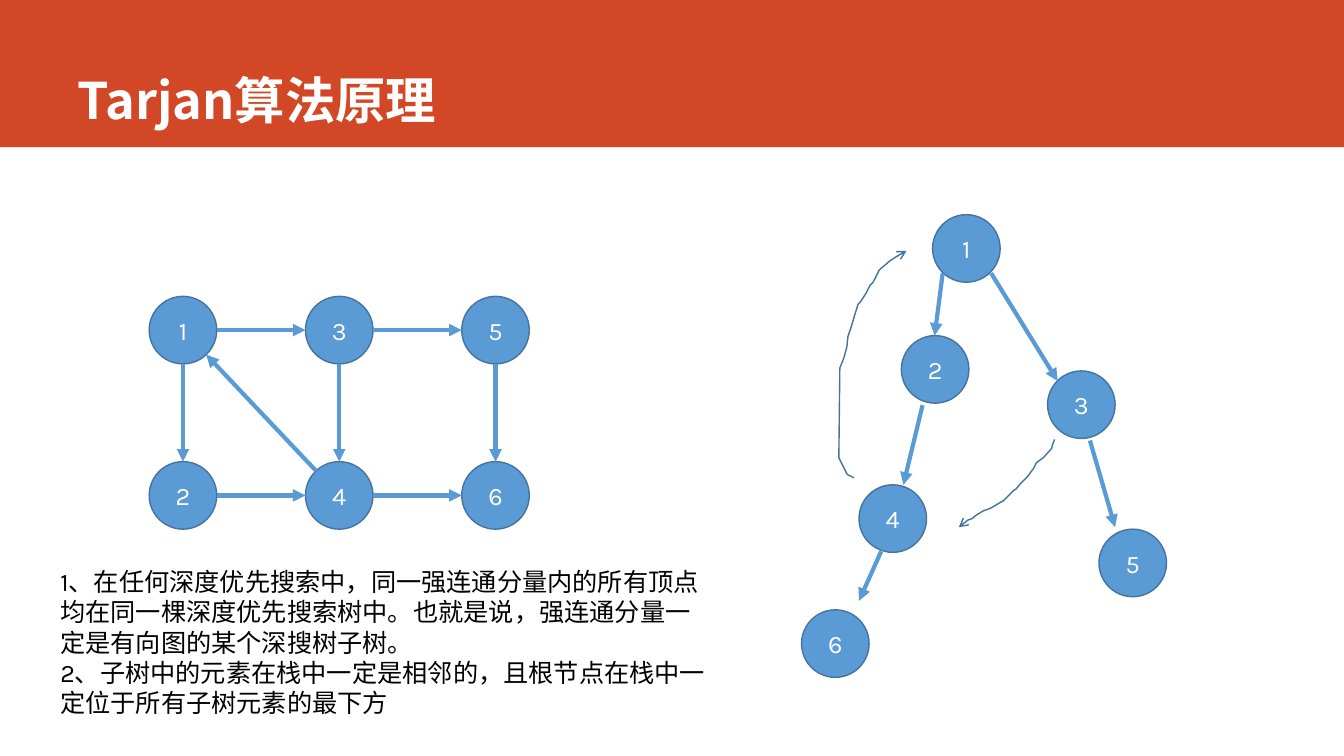
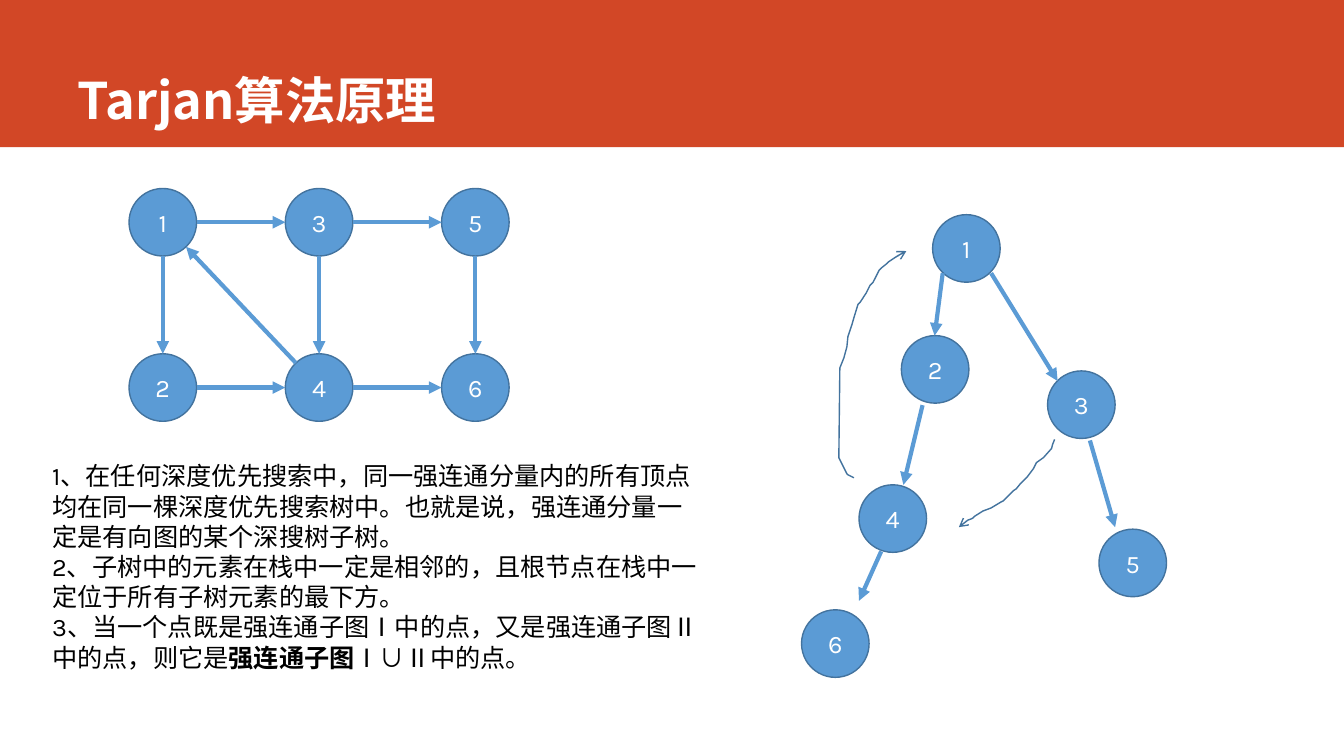
from dataclasses import dataclass
from math import hypot

from pptx import Presentation
from pptx import util as u
from pptx.dml.color import RGBColor
from pptx.enum import shapes, text
from pptx.oxml.ns import qn
from lxml import etree

ORANGE, BLUE, OUTLINE = "D24726", "5B9BD5", "43739E"
WHITE, BLACK = "FFFFFF", "000000"
TITLE_FONT, BODY_FONT = "Noto Sans CJK SC", "Karla"
TITLE = "Tarjan算法原理"
DIAMETER = 0.67
RADIUS = DIAMETER / 2
COLUMN_PITCH, ROW_PITCH = 1.55, 1.64

Point = tuple[float, float]


@dataclass(frozen=True)
class Node:
    label: str
    left: float
    top: float

    @property
    def center(self) -> Point:
        return self.left + RADIUS, self.top + RADIUS


@dataclass(frozen=True)
class Edge:
    start: Point
    end: Point


@dataclass(frozen=True)
class Page:
    graph_origin: Point
    theorem_origin: Point
    theorem_height: float
    theorems: list[str]


# Directed graph: node pairs; labels run down each column
GRAPH_LINKS = ["12", "34", "56", "13", "35", "24", "46", "41"]

# Depth-first search tree
TREE_NODES = [
    Node("1", 9.25, 2.13), Node("3", 10.39, 3.68), Node("5", 10.9, 5.25),
    Node("2", 8.94, 3.33), Node("4", 8.52, 4.81), Node("6", 7.95, 6.05),
]
TREE_EDGES = [
    Edge((9.35, 2.71), (9.27, 3.33)), Edge((8.74, 5.47), (8.52, 5.96)),
    Edge((10.81, 4.37), (11.06, 5.23)), Edge((9.83, 2.71), (10.49, 3.78)),
    Edge((9.15, 4.02), (8.96, 4.81)),
]

# Hand-drawn arrows for the edges outside the tree
BACK_EDGE = [
    (8.47, 4.74), (8.41, 4.71), (8.4, 4.7), (8.35, 4.6), (8.32, 4.54),
    (8.33, 3.65), (8.37, 3.55), (8.4, 3.44), (8.41, 3.34), (8.42, 3.31),
    (8.45, 3.22), (8.47, 3.15), (8.51, 3.02), (8.53, 3), (8.59, 2.91),
    (8.61, 2.87), (8.63, 2.83), (8.66, 2.8), (8.7, 2.72), (8.72, 2.68),
    (8.74, 2.66), (8.79, 2.62), (8.81, 2.6), (8.9, 2.54), (8.97, 2.5),
    (8.99, 2.49),
]
CROSS_EDGE = [
    (10.46, 4.36), (10.44, 4.41), (10.43, 4.45), (10.35, 4.54),
    (10.28, 4.59), (10.25, 4.65), (10.19, 4.73), (10.12, 4.8),
    (10.08, 4.85), (10.05, 4.87), (9.95, 4.97), (9.93, 4.98),
    (9.83, 5.04), (9.75, 5.07), (9.67, 5.12), (9.65, 5.14),
    (9.63, 5.15), (9.6, 5.16), (9.55, 5.2), (9.51, 5.23),
]

# Theorems; ** marks bold text
SAME_TREE = ("1、在任何深度优先搜索中，同一强连通分量内的所有顶点均在同一棵深度优先搜索树中。"
             "也就是说，强连通分量一定是有向图的某个深搜树子树。")
ON_STACK = "2、子树中的元素在栈中一定是相邻的，且根节点在栈中一定位于所有子树元素的最下方"
UNION = "3、当一个点既是强连通子图Ⅰ中的点，又是强连通子图Ⅱ中的点，则它是**强连通子图**Ⅰ∪Ⅱ中的点。"

PAGES = [
    Page((1.48, 2.94), (0.5, 5.57), 1.62, [SAME_TREE, ON_STACK]),
    Page((1.28, 1.87), (0.42, 4.52), 2.22, [SAME_TREE, ON_STACK + "。", UNION]),
]


def rgb(color: str) -> RGBColor:
    return RGBColor.from_string(color)


def box(left: float, top: float, width: float, height: float) -> list[u.Length]:
    return [u.Inches(side) for side in (left, top, width, height)]


def write(frame, paragraphs: list[str], *, size: float = 18, color: str = BLACK,
          font: str = BODY_FONT, bold: bool = False,
          align=text.PP_ALIGN.LEFT, anchor=text.MSO_ANCHOR.TOP) -> None:
    frame.word_wrap = True
    frame.vertical_anchor = anchor
    for index, content in enumerate(paragraphs):
        paragraph = frame.add_paragraph() if index else frame.paragraphs[0]
        paragraph.alignment = align
        for part, words in enumerate(content.split("**")):
            run = paragraph.add_run()
            run.text = words
            run.font.size = u.Pt(size)
            run.font.bold = bold or part % 2 == 1
            run.font.color.rgb = rgb(color)
            run.font.name = font
            etree.SubElement(run.font._element, qn("a:ea")).set("typeface", font)


def style_line(shape, color: str, width: float, arrow: str = "") -> None:
    shape.line.color.rgb = rgb(color)
    shape.line.width = u.Pt(width)
    if arrow:
        outline = shape.line._get_or_add_ln()
        etree.SubElement(outline, qn("a:tailEnd")).set("type", arrow)


def draw_node(slide, node: Node) -> None:
    circle = slide.shapes.add_shape(
        shapes.MSO_SHAPE.OVAL, *box(node.left, node.top, DIAMETER, DIAMETER))
    circle.shadow.inherit = False
    circle.fill.solid()
    circle.fill.fore_color.rgb = rgb(BLUE)
    style_line(circle, OUTLINE, 1)
    write(circle.text_frame, [node.label], color=WHITE,
          align=text.PP_ALIGN.CENTER, anchor=text.MSO_ANCHOR.MIDDLE)


def draw_edge(slide, edge: Edge) -> None:
    arrow = slide.shapes.add_connector(
        shapes.MSO_CONNECTOR.STRAIGHT, *box(*edge.start, *edge.end))
    style_line(arrow, BLUE, 3, "triangle")
    etree.SubElement(arrow._element.spPr, qn("a:effectLst"))


def draw_curve(slide, points: list[Point]) -> None:
    start, *rest = [(u.Inches(x), u.Inches(y)) for x, y in points]
    builder = slide.shapes.build_freeform(*start)
    builder.add_line_segments(rest, close=False)
    curve = builder.convert_to_shape()
    curve.shadow.inherit = False
    curve.fill.background()
    style_line(curve, OUTLINE, 1, "arrow")


def link(source: Node, target: Node) -> Edge:
    """Join the facing borders of two circles."""
    (x1, y1), (x2, y2) = source.center, target.center
    distance = hypot(x2 - x1, y2 - y1)
    dx, dy = (x2 - x1) * RADIUS / distance, (y2 - y1) * RADIUS / distance
    return Edge((x1 + dx, y1 + dy), (x2 - dx, y2 - dy))


def draw_graph(slide, origin: Point) -> None:
    left, top = origin
    nodes = {}
    for index in range(6):
        column, row = divmod(index, 2)
        label = str(index + 1)
        nodes[label] = Node(label, left + column * COLUMN_PITCH, top + row * ROW_PITCH)
        draw_node(slide, nodes[label])
    for source, target in GRAPH_LINKS:
        draw_edge(slide, link(nodes[source], nodes[target]))


def draw_tree(slide) -> None:
    for node in TREE_NODES:
        draw_node(slide, node)
    for edge in TREE_EDGES:
        draw_edge(slide, edge)
    for points in (BACK_EDGE, CROSS_EDGE):
        draw_curve(slide, points)


def add_band(slide, layout) -> None:
    """Draw the title band and move it behind everything on the layout."""
    band = slide.shapes.add_shape(shapes.MSO_SHAPE.RECTANGLE, *box(0, 0, 13.33, 1.46))
    band.shadow.inherit = False
    band.fill.solid()
    band.fill.fore_color.rgb = rgb(ORANGE)
    band.line.fill.background()
    layout.shapes._spTree.insert(2, band._element)


def add_title(slide) -> None:
    title = slide.shapes.title
    title.left, title.top, title.width, title.height = box(0.67, 0, 11.75, 1.34)
    title.text_frame.auto_size = text.MSO_AUTO_SIZE.NONE
    write(title.text_frame, [TITLE], size=36, color=WHITE, font=TITLE_FONT,
          bold=True, anchor=text.MSO_ANCHOR.BOTTOM)


def add_theorems(slide, page: Page) -> None:
    theorems = slide.shapes.add_textbox(
        *box(*page.theorem_origin, 6.67, page.theorem_height))
    write(theorems.text_frame, page.theorems)
    theorems.text_frame.auto_size = text.MSO_AUTO_SIZE.SHAPE_TO_FIT_TEXT


def main() -> None:
    deck = Presentation()
    deck.slide_width, deck.slide_height = u.Inches(13.33), u.Inches(7.5)
    layout = deck.slide_layouts[5]
    for number, page in enumerate(PAGES):
        slide = deck.slides.add_slide(layout)
        if number == 0:
            add_band(slide, layout)
        add_title(slide)
        draw_graph(slide, page.graph_origin)
        draw_tree(slide)
        add_theorems(slide, page)
    deck.save("out.pptx")


if __name__ == "__main__":
    main()
